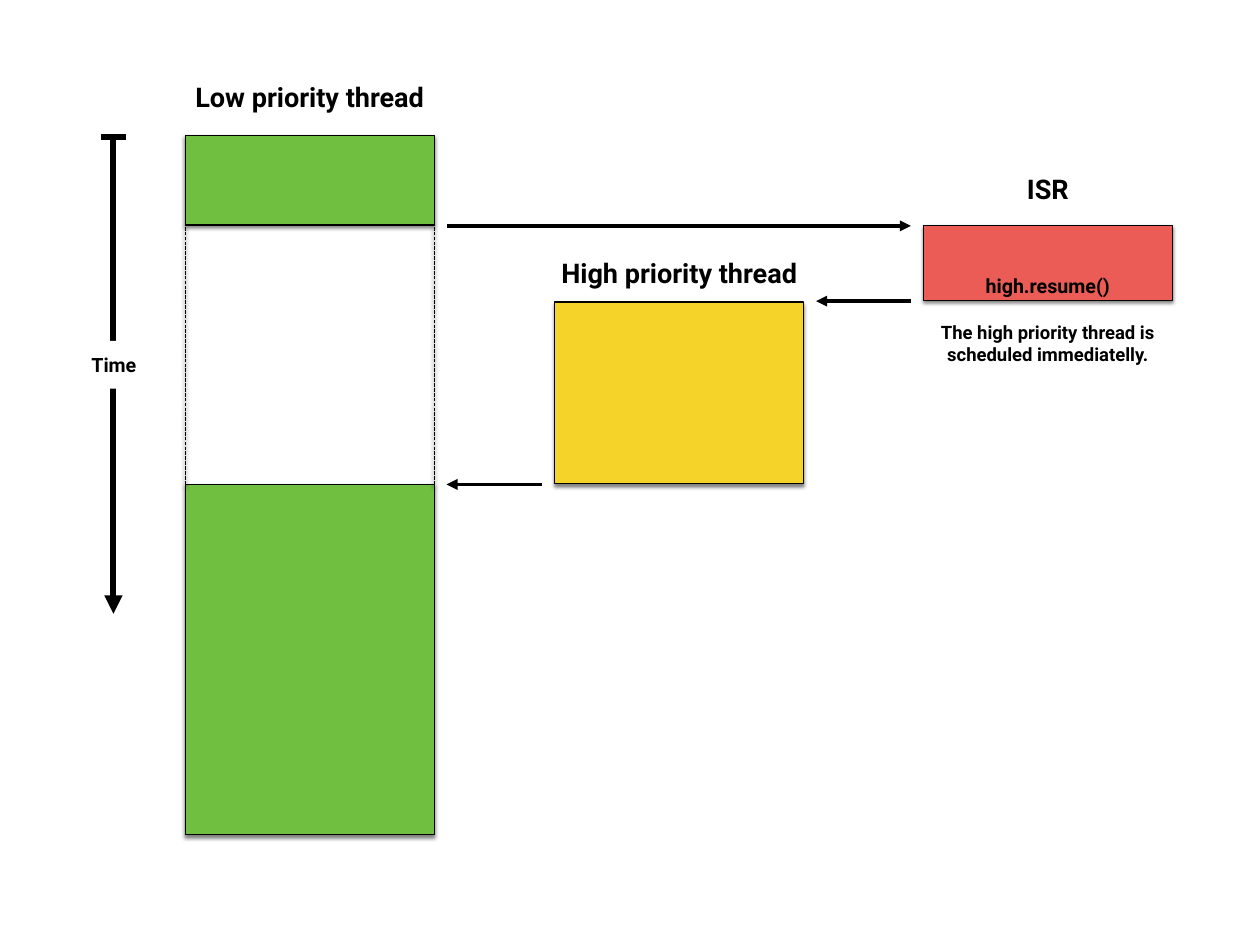
from collections import namedtuple
from dataclasses import dataclass

from lxml import etree
from pptx import Presentation
from pptx.dml.color import RGBColor
from pptx.enum.dml import MSO_LINE
from pptx.enum.shapes import MSO_CONNECTOR, MSO_SHAPE
from pptx.enum.text import MSO_ANCHOR, PP_ALIGN
from pptx.oxml.ns import qn
from pptx.util import Pt

RECTANGLE = MSO_SHAPE.RECTANGLE
STRAIGHT = MSO_CONNECTOR.STRAIGHT
DASHED = MSO_LINE.SQUARE_DOT
MIDDLE = MSO_ANCHOR.MIDDLE
CENTER = PP_ALIGN.CENTER

EMU_PER_PX = 9144
SLIDE_W, SLIDE_H = 1422, 1067
BAR_W = 281
GAP = 14
INSET = 6

Box = namedtuple("Box", "left top width height")


@dataclass(frozen=True)
class Theme:
    font: str = "Roboto"
    ink: str = "000000"
    paper: str = "FFFFFF"
    low: str = "70BF41"
    high: str = "F5D328"
    isr: str = "EC5C57"
    heading: int = 22
    label: int = 16
    note: int = 15
    outline: int = 1
    arrow: int = 3
    axis: int = 5


THEME = Theme()


def px(length):
    return length * EMU_PER_PX


def rgb(color):
    return RGBColor.from_string(color)


def right(box):
    return box.left + box.width


def bottom(box):
    return box.top + box.height


def set_effects(shape, shadow):
    """Give the shape a soft drop shadow, or an empty effect list."""
    effects = etree.SubElement(shape._element.spPr, qn("a:effectLst"))
    if shadow:
        drop = etree.SubElement(effects, qn("a:outerShdw"), blurRad=str(Pt(3)),
                                dist=str(Pt(2)), dir="5400000", rotWithShape="0")
        color = etree.SubElement(drop, qn("a:srgbClr"), val=THEME.ink)
        etree.SubElement(color, qn("a:alpha"), val="50000")


def add_text(slide, text, box, size, fill=None):
    label = slide.shapes.add_textbox(*map(px, box))
    if fill:
        label.fill.solid()
        label.fill.fore_color.rgb = rgb(fill)
    frame = label.text_frame
    frame.word_wrap = True
    frame.vertical_anchor = MIDDLE
    frame.margin_left = frame.margin_right = px(INSET)
    frame.margin_top = frame.margin_bottom = px(INSET)
    paragraph = frame.paragraphs[0]
    paragraph.alignment = CENTER
    run = paragraph.add_run()
    run.text = text
    run.font.name = THEME.font
    run.font.size = Pt(size)
    run.font.bold = True
    run.font.color.rgb = rgb(THEME.ink)


def add_line(slide, start, end, weight, arrow=False, dash=None, shadow=False):
    line = slide.shapes.add_connector(STRAIGHT, *map(px, start + end))
    line.line.color.rgb = rgb(THEME.ink)
    line.line.width = Pt(weight)
    if dash:
        line.line.dash_style = dash
    if arrow:
        etree.SubElement(line.line._get_or_add_ln(), qn("a:tailEnd"), type="triangle")
    set_effects(line, shadow)


def add_bar(slide, box, color):
    bar = slide.shapes.add_shape(RECTANGLE, *map(px, box))
    bar.fill.solid()
    bar.fill.fore_color.rgb = rgb(color)
    bar.line.color.rgb = rgb(THEME.ink)
    bar.line.width = Pt(THEME.outline)
    set_effects(bar, shadow=True)


def add_heading(slide, text, bar, rise):
    box = Box(bar.left - GAP, bar.top - rise, bar.width + 2 * GAP, 47)
    add_text(slide, text, box, THEME.heading)


def low_thread(slide, before, after):
    """Draw the running periods and the dashed pause between them."""
    add_bar(slide, after, THEME.low)
    add_bar(slide, before, THEME.low)
    add_heading(slide, "Low priority thread", before, 67)
    for edge in (before.left, right(before)):
        add_line(slide, (edge, after.top), (edge, bottom(before)),
                 THEME.outline, dash=DASHED, shadow=True)


def high_thread(slide, box):
    add_bar(slide, box, THEME.high)
    add_heading(slide, "High priority thread", box, 57)


def interrupt_routine(slide, box):
    add_bar(slide, box, THEME.isr)
    add_heading(slide, "ISR", box, 65)
    add_text(slide, "high.resume()", Box(box.left, bottom(box) - 36, box.width, 38),
             THEME.label)
    add_text(slide, "The high priority thread is scheduled immediatelly.",
             Box(box.left - 20, bottom(box) + 18, box.width + 40, 61), THEME.note)


def time_axis(slide, box):
    middle = box.left + box.width // 2
    add_line(slide, (middle, box.top), (middle, bottom(box)), THEME.axis, arrow=True)
    add_line(slide, (middle - GAP, box.top), (middle + GAP, box.top), THEME.axis)
    add_text(slide, "Time", Box(box.left, box.top + 230, box.width, 54),
             THEME.label, fill=THEME.paper)


def main():
    deck = Presentation()
    deck.slide_width, deck.slide_height = px(SLIDE_W), px(SLIDE_H)
    slide = deck.slides.add_slide(deck.slide_layouts[6])

    low_before = Box(209, 153, BAR_W, 101)
    low_after = Box(209, 547, BAR_W, 395)
    high = Box(626, 341, BAR_W, 205)
    isr = Box(1042, 255, BAR_W, 84)

    low_thread(slide, low_before, low_after)
    high_thread(slide, high)
    interrupt_routine(slide, isr)
    time_axis(slide, Box(62, 155, 133, 538))

    switches = (
        (right(low_before) + GAP, isr.left - GAP, isr.top),
        (isr.left - GAP, right(high) + GAP, high.top - 1),
        (high.left - GAP, right(low_after) + GAP, low_after.top),
    )
    for start, end, moment in switches:
        add_line(slide, (start, moment), (end, moment), THEME.arrow, arrow=True)

    deck.save("out.pptx")


if __name__ == "__main__":
    main()
